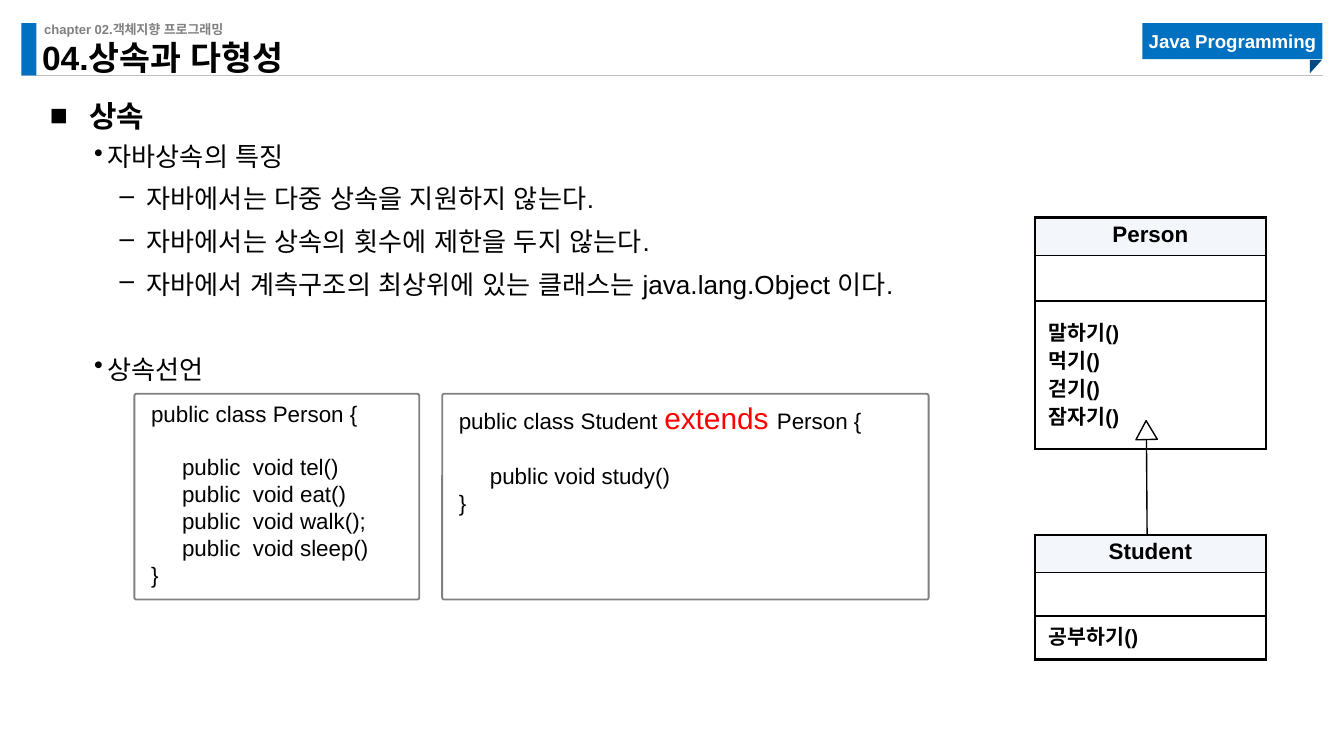
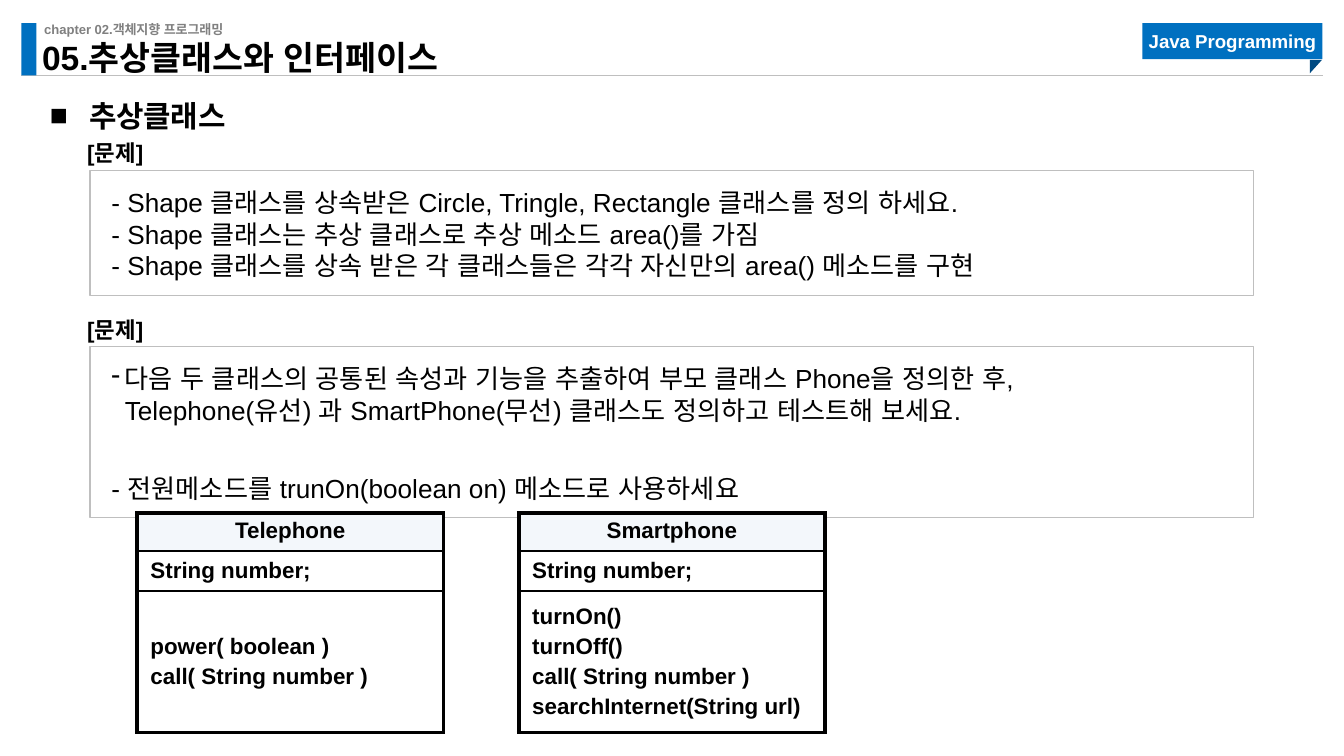
from lxml.etree import SubElement
from pptx import Presentation
from pptx.dml.color import RGBColor
from pptx.enum.lang import MSO_LANGUAGE_ID
from pptx.enum.shapes import MSO_CONNECTOR, MSO_SHAPE
from pptx.enum.text import MSO_ANCHOR, MSO_AUTO_SIZE, PP_ALIGN
from pptx.oxml.ns import qn
from pptx.util import Pt

COLORS = {
    "blue": "0070C0",
    "fold": "004A82",
    "rule": "BFBFBF",
    "gray": "808080",
    "black": "000000",
    "white": "FFFFFF",
    "red": "FF0000",
    "header": "F3F7FB",
}
FONT = "Arial"
BLANK_CODE_LINE = 14.4


def rgb(name):
    return RGBColor.from_string(COLORS[name])


def points(*values):
    return [Pt(value) for value in values]


# Text
def format_run(run, size=12, color="black", bold=False):
    run.font.size = Pt(size)
    run.font.bold = bold
    run.font.color.rgb = rgb(color)
    run.font.name = FONT
    run.font.language_id = MSO_LANGUAGE_ID.KOREAN
    SubElement(run.font._element, qn("a:ea"), typeface=FONT)


def write_paragraph(paragraph, text, bullet=None, margin=0, hanging=0, before=0,
                    spacing=1.0, align=PP_ALIGN.LEFT, **run_format):
    """Text is a string, or a list of (string, run format) pairs."""
    properties = paragraph._p.get_or_add_pPr()
    properties.set("marL", str(Pt(margin)))
    properties.set("indent", str(-Pt(hanging)))
    if bullet:
        SubElement(properties, qn("a:buChar"), char=bullet)
    else:
        SubElement(properties, qn("a:buNone"))
    paragraph.alignment = align
    paragraph.space_before = Pt(before)
    if spacing:
        paragraph.line_spacing = spacing
    pieces = [(text, {})] if isinstance(text, str) else text
    for piece, changes in pieces:
        for number, line in enumerate(piece.split("\n")):
            if number:
                paragraph.add_line_break()
            run = paragraph.add_run()
            run.text = line
            format_run(run, **{**run_format, **changes})


def write(frame, *items, insets=(0, 0, 0, 0), anchor=MSO_ANCHOR.TOP, **shared):
    """Each item is a text, or a dict with a text and its own format."""
    frame.word_wrap = True
    frame.auto_size = MSO_AUTO_SIZE.NONE
    frame.vertical_anchor = anchor
    (frame.margin_left, frame.margin_top,
     frame.margin_right, frame.margin_bottom) = points(*insets)
    for number, item in enumerate(items):
        paragraph = frame.add_paragraph() if number else frame.paragraphs[0]
        own = item if isinstance(item, dict) else {"text": item}
        write_paragraph(paragraph, **{**shared, **own})


# Shapes
def add_shape(slide, kind, box, fill=None, line=None, width=0.75):
    shape = slide.shapes.add_shape(kind, *points(*box))
    shape.shadow.inherit = False
    if fill:
        shape.fill.solid()
        shape.fill.fore_color.rgb = rgb(fill)
    else:
        shape.fill.background()
    if line:
        shape.line.color.rgb = rgb(line)
        shape.line.width = Pt(width)
    else:
        shape.line.fill.background()
    return shape


def add_text_box(slide, box, *items, **text_format):
    text_box = slide.shapes.add_textbox(*points(*box))
    write(text_box.text_frame, *items, **text_format)
    return text_box


def add_line(slide, start, end, color, width):
    line = slide.shapes.add_connector(MSO_CONNECTOR.STRAIGHT, *points(*start, *end))
    line.line.color.rgb = rgb(color)
    line.line.width = Pt(width)
    SubElement(line._element.spPr, qn("a:effectLst"))
    return line


# Header band, kept on the layout that the slides share
def add_band(slide, layout, box):
    left, top, width, height = box
    right = left + width
    rule = add_line(slide, (left, top + height), (right, top + height), "rule", 0.5)
    bar = add_shape(slide, MSO_SHAPE.RECTANGLE, (left, top, 8, height), "blue")
    chapter = add_text_box(slide, (left + 12.2, top - 0.7, 232.6, 8.6),
                           "chapter 02.객체지향 프로그래밍",
                           size=7, color="gray", bold=True)
    tag = add_shape(slide, MSO_SHAPE.RECTANGLE, (right - 96.5, top, 96.5, 19.4), "blue")
    write(tag.text_frame, "Java Programming", size=10, color="white", bold=True,
          align=PP_ALIGN.CENTER, anchor=MSO_ANCHOR.MIDDLE)
    fold = add_shape(slide, MSO_SHAPE.RIGHT_TRIANGLE,
                     (right - 7.2, top + 20.1, 7.2, 6.5), "fold")
    fold.rotation = 90
    for shape in (rule, bar, chapter, tag, fold):
        layout.shapes._spTree.append(shape._element)


def place(placeholder, box):
    (placeholder.left, placeholder.top,
     placeholder.width, placeholder.height) = points(*box)
    return placeholder.text_frame


def add_titled_slide(presentation, layout, title, heading):
    slide = presentation.slides.add_slide(layout)
    write(place(slide.shapes.title, (22.5, 25, 237.6, 16.8)), title,
          size=18, bold=True, spacing=0.9, anchor=MSO_ANCHOR.BOTTOM)
    write(place(slide.placeholders[1], (26.7, 42.5, 686.9, 23.8)), heading,
          size=16, bold=True, spacing=1.5, bullet="■", margin=21, hanging=21)
    return slide


# Class diagram: name, fields and methods in one column
def set_borders(cell, left, right, top, bottom):
    properties = cell._tc.get_or_add_tcPr()
    sides = {"a:lnL": left, "a:lnR": right, "a:lnT": top, "a:lnB": bottom}
    for position, (tag, width) in enumerate(sides.items()):
        line = SubElement(properties, qn(tag), w=str(Pt(width)))
        fill = SubElement(line, qn("a:solidFill"))
        SubElement(fill, qn("a:srgbClr"), val=COLORS["black"])
        properties.insert(position, line)


def add_class_table(slide, box, heights, name, fields, methods, size, outline):
    left, top, width = box
    frame = slide.shapes.add_table(3, 1, *points(left, top, width, sum(heights)))
    table = frame.table
    table.first_row = table.horz_banding = False
    for number, (height, lines) in enumerate(zip(heights, ([name], fields, methods))):
        table.rows[number].height = Pt(height)
        cell = table.cell(number, 0)
        is_name = number == 0
        if is_name:
            cell.fill.solid()
            cell.fill.fore_color.rgb = rgb("header")
        else:
            cell.fill.background()
        set_borders(cell, outline, outline, outline if is_name else 1,
                    outline if number == 2 else 1)
        cell.vertical_anchor = MSO_ANCHOR.TOP if is_name else MSO_ANCHOR.MIDDLE
        cell.margin_left = cell.margin_right = Pt(7.2)
        cell.margin_top = cell.margin_bottom = Pt(3.6)
        paragraphs = cell.text_frame.paragraphs
        if not lines:
            SubElement(paragraphs[0]._p, qn("a:endParaRPr"), sz="1200")
        for position, line in enumerate(lines):
            paragraph = cell.text_frame.add_paragraph() if position else paragraphs[0]
            write_paragraph(paragraph, line, bold=True,
                            size=12 if is_name else size,
                            spacing=0.9 if is_name else None,
                            align=PP_ALIGN.CENTER if is_name else PP_ALIGN.LEFT,
                            before=2.75 if position else 0)


# Inheritance arrow from the child class up to its parent
def add_inheritance_arrow(slide, box):
    left, top, width, height = box
    center = left + width / 2
    line = add_line(slide, (center + 0.4, top + height), (center, top + 0.7),
                    "black", 0.75)
    SubElement(line.line._get_or_add_ln(), qn("a:tailEnd"), type="triangle")
    head = add_shape(slide, MSO_SHAPE.ISOSCELES_TRIANGLE, (left, top, width, 10.1),
                     "white", "black")
    head.rotation = 358.5


def add_code_box(slide, box, *lines):
    shape = add_shape(slide, MSO_SHAPE.ROUNDED_RECTANGLE, box, line="gray", width=1)
    shape.adjustments[0] = 0.01
    write(shape.text_frame, *lines, size=12, insets=(8.6, 2.9, 8.6, 2.9))


# A labelled exercise frame
def add_problem(slide, box, *lines):
    left, top, width, height = box
    add_text_box(slide, (left - 8.6, top - 20.2, 171.4, 21.6), "[문제]",
                 size=12, bold=True, insets=(7.2, 3.6, 7.2, 3.6))
    shape = add_shape(slide, MSO_SHAPE.RECTANGLE, box, line="rule")
    write(shape.text_frame, *lines, size=14, insets=(11.5, 8.6, 11.5, 0))


def fill_inheritance_slide(slide):
    # Features of inheritance
    point = {"bullet": "•", "margin": 28.8, "hanging": 7.2, "before": 6}
    detail = {"bullet": "–", "margin": 49.7, "hanging": 14.4, "before": 6}
    add_text_box(
        slide, (28.8, 75.1, 700, 146),
        {**point, "text": "자바상속의 특징", "before": 0},
        {**detail, "text": "자바에서는 다중 상속을 지원하지 않는다."},
        {**detail, "text": "자바에서는 상속의 횟수에 제한을 두지 않는다."},
        {**detail, "text": "자바에서 계측구조의 최상위에 있는 클래스는 java.lang.Object 이다."},
        {**point, "text": "상속선언", "before": 28.8},
        size=14, insets=(0, 0, 7.2, 3.6))

    # Class diagram
    left, width = 554.4, 123.8
    add_class_table(slide, (left, 116.6, width), (20.2, 24.5, 79.2), "Person", [],
                    ["말하기()", "먹기()", "걷기()", "잠자기()"], 11, 1.5)
    add_inheritance_arrow(slide, (608.4, 225.4, 11.5, 61.2))
    add_class_table(slide, (left, 286.6, width), (20.2, 23.2, 23.4), "Student", [],
                    ["공부하기()"], 11, 1.5)

    # Declarations
    top, height = 211, 110.2
    add_code_box(slide, (72, top, 152.6, height),
                 "public class Person {",
                 {"text": "     public  void tel()", "before": BLANK_CODE_LINE},
                 "     public  void eat()",
                 "     public  void walk();",
                 "     public  void sleep()",
                 "}")
    add_code_box(slide, (236.9, top, 260.6, height),
                 {"text": [("public class Student ", {}),
                           ("extends ", {"size": 16, "color": "red"}),
                           ("Person {", {})]},
                 {"text": "     public void study()", "before": BLANK_CODE_LINE},
                 "}")


def fill_abstract_class_slide(slide):
    # Exercises
    left, width = 48.2, 623.5
    add_problem(slide, (left, 91.4, width, 67),
                "- Shape 클래스를 상속받은 Circle, Tringle, Rectangle 클래스를 정의 하세요.",
                "- Shape 클래스는 추상 클래스로 추상 메소드 area()를 가짐",
                "- Shape 클래스를 상속 받은 각 클래스들은 각각 자신만의 area() 메소드를 구현")
    add_problem(slide, (left, 185.8, width, 91.4),
                {"text": "다음 두 클래스의 공통된 속성과 기능을 추출하여 부모 클래스 Phone을 정의한 후,\n"
                         "Telephone(유선) 과 SmartPhone(무선) 클래스도 정의하고 테스트해 보세요.",
                 "bullet": "-", "margin": 7.2, "hanging": 7.2},
                {"text": "- 전원메소드를 trunOn(boolean on) 메소드로 사용하세요",
                 "before": 16.8, "spacing": 1.5})

    # Two classes side by side
    classes = {
        "Telephone": ["power( boolean )", "call( String number )"],
        "Smartphone": ["turnOn()", "turnOff()", "call( String number )",
                       "searchInternet(String url)"],
    }
    for column, (name, methods) in enumerate(classes.items()):
        add_class_table(slide, (73.4 + column * 204.5, 275, 164.2), (20.2, 21.6, 75.6),
                        name, ["String number;"], methods, 12, 2.25)


def main():
    presentation = Presentation()
    presentation.slide_width, presentation.slide_height = points(720, 405)
    layout = presentation.slide_layouts[1]

    slide = add_titled_slide(presentation, layout, "04.상속과 다형성", "상속")
    add_band(slide, layout, (11.5, 12.4, 697, 28))
    fill_inheritance_slide(slide)

    slide = add_titled_slide(presentation, layout, "05.추상클래스와 인터페이스", "추상클래스")
    fill_abstract_class_slide(slide)

    presentation.save("out.pptx")


if __name__ == "__main__":
    main()
